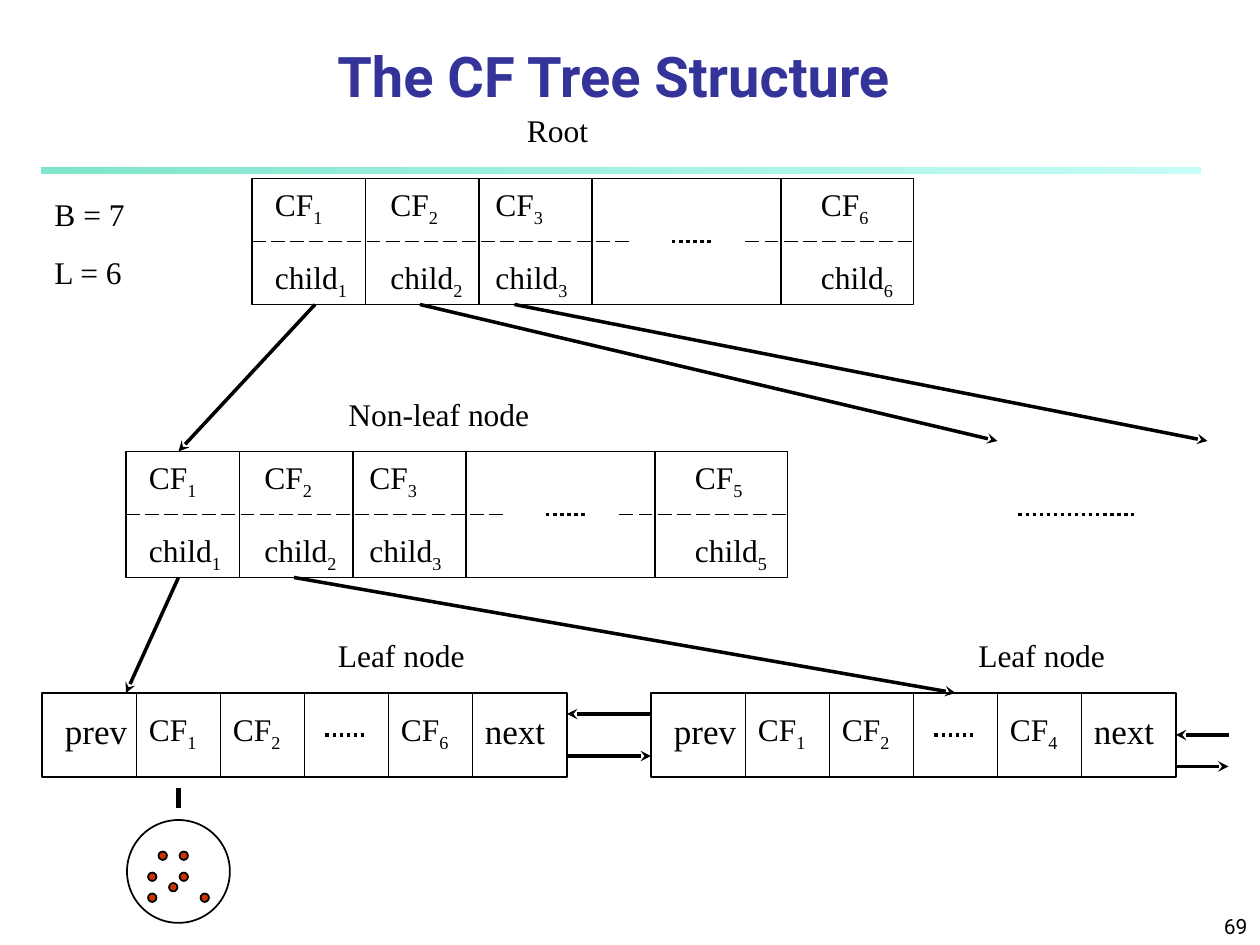
from lxml import etree
from pptx import Presentation
from pptx.dml.color import RGBColor
from pptx.enum.dml import MSO_LINE
from pptx.enum.shapes import MSO_CONNECTOR, MSO_SHAPE
from pptx.enum.text import MSO_ANCHOR, PP_ALIGN
from pptx.oxml.ns import qn
from pptx.util import Inches, Pt

COLORS = {"ink": "000000", "title": "333399", "point": "CC3300",
          "bar_left": "7FE6CB", "bar_right": "C5FCF7"}
SERIF, SANS = "Times New Roman", "Roboto"
COLUMNS, ROWS = 120, 90  # one grid cell is a twelfth of an inch


def rgb(name):
    return RGBColor.from_string(COLORS[name])


def grid(*cells):
    return [Inches(cell / 12) for cell in cells]


def style_run(run, size, font=SERIF, color="ink", bold=False):
    run.font.size = Pt(size)
    run.font.name = font
    run.font.bold = bold
    run.font.color.rgb = rgb(color)


def add_outline(slide, kind, box, fill=None):
    shape = slide.shapes.add_shape(kind, *grid(*box))
    shape.shadow.inherit = False
    if fill:
        shape.fill.solid()
        shape.fill.fore_color.rgb = rgb(fill)
    else:
        shape.fill.background()
    shape.line.color.rgb = rgb("ink")
    shape.line.width = Pt(1)
    return shape


def add_line(slide, start, end, width=1, dash=None, arrow=False):
    line = slide.shapes.add_connector(MSO_CONNECTOR.STRAIGHT, *grid(*start, *end))
    line.line.color.rgb = rgb("ink")
    line.line.width = Pt(width)
    if dash:
        line.line.dash_style = dash
    if arrow:
        etree.SubElement(line.line._get_or_add_ln(), qn("a:tailEnd"), type="stealth")
    etree.SubElement(line._element.spPr, qn("a:effectLst"))
    return line


def add_dots(slide, left, top, width):
    add_line(slide, (left, top), (left + width, top), 2, MSO_LINE.ROUND_DOT)


def add_text(slide, box, text, size=18, subscript=None, font=SERIF):
    text_box = slide.shapes.add_textbox(*grid(*box))
    frame = text_box.text_frame
    frame.word_wrap = True
    frame.text = text
    if subscript:
        run = frame.paragraphs[0].add_run()
        run.text = str(subscript)
        run.font._element.set("baseline", "-25000")
    for paragraph in frame.paragraphs:
        for run in paragraph.runs:
            style_run(run, size, font)
    for paragraph in frame.paragraphs[1:]:
        paragraph.space_before = Pt(11.2)
    return frame


# Title, gradient bar and page number
def add_frame(slide):
    title = slide.shapes.title
    title.left, title.top, title.width, title.height = grid(8.9, 3, 99.1, 8)
    title.text_frame.text = "The CF Tree Structure"
    title.text_frame.vertical_anchor = MSO_ANCHOR.BOTTOM
    title.text_frame.paragraphs[0].alignment = PP_ALIGN.CENTER
    style_run(title.text_frame.paragraphs[0].runs[0], 32, SANS, "title", True)

    bar = slide.shapes.add_shape(MSO_SHAPE.RECTANGLE, *grid(3.9, 15.95, 110.5, 0.65))
    bar.shadow.inherit = False
    bar.line.fill.background()
    bar.fill.gradient()
    bar.fill.gradient_angle = 0
    for stop, name in zip(bar.fill.gradient_stops, ("bar_left", "bar_right")):
        stop.color.rgb = rgb(name)

    number = add_text(slide, (COLUMNS - 25, ROWS - 5, 25, 5), "69", 12, font=SANS)
    number.vertical_anchor = MSO_ANCHOR.BOTTOM
    number.paragraphs[0].alignment = PP_ALIGN.RIGHT


# Inner node: entries above, child pointers below
def add_inner_node(slide, left, top, last, width=63, height=12):
    middle = top + height / 2
    add_outline(slide, MSO_SHAPE.RECTANGLE, (left, top, width, height))
    for offset in (10.8, 21.6, 32.4, 50.4):
        add_line(slide, (left + offset, top), (left + offset, top + height))
    for start, end in ((0, 36), (47, width)):
        add_line(slide, (left + start, middle), (left + end, middle),
                 dash=MSO_LINE.LONG_DASH)
    add_dots(slide, left + 40, middle, 4)
    for offset, index in zip((1, 12, 22, 53), (1, 2, 3, last)):
        add_text(slide, (left + offset, top, 9, 5.3), "CF", subscript=index)
        add_text(slide, (left + offset, top + 7, 12, 5.3), "child", subscript=index)


# Leaf node: entries between links to its neighbours
def add_leaf_node(slide, left, top, last, width=50, height=8):
    node = add_outline(slide, MSO_SHAPE.RECTANGLE, (left, top, width, height))
    dividers = [left + 9 + 8 * step for step in range(5)]
    for divider in dividers:
        add_line(slide, (divider, top), (divider, top + height))
    for step, index in ((0, 1), (1, 2), (3, last)):
        add_text(slide, (dividers[step], top + 1, 9, 5.3), "CF", subscript=index)
    add_dots(slide, dividers[2] + 2, top + height / 2, 4)
    for text_left, text in ((left + 1, "prev"), (dividers[4], "next")):
        add_text(slide, (text_left, top + 1, 9, 5.2), text, 20)
    return node


# Cluster of points below a leaf entry
def add_cluster(slide, left, top, size=10):
    for column, row in ((3, 3), (5, 5), (5, 3), (2, 7), (2, 5), (4, 6), (7, 7)):
        add_outline(slide, MSO_SHAPE.OVAL,
                    (left + column + 0.1, top + row + 0.1, 0.8, 0.8), "point")
    add_outline(slide, MSO_SHAPE.OVAL, (left + 0.1, top + 0.1, size - 0.2, size - 0.2))
    center = left + size / 2
    add_line(slide, (center, top - 3), (center, top - 1), 3)


# Pointers between levels and between neighbouring leaves
def add_pointers(slide, last_leaf):
    for start, end in (((30, 29), (17, 43)), ((40, 29), (95, 42)),
                       ((49, 29), (115, 42)), ((17, 55), (12, 66)),
                       ((28, 55), (91, 66)), ((62, 68), (54, 68)),
                       ((54, 72), (62, 72)), ((112, 73), (117, 73))):
        add_line(slide, start, end, 2, arrow=True)
    incoming = add_line(slide, (117, 70), (112, 70), 2, arrow=True)
    incoming.end_connect(last_leaf, 3)


def add_labels(slide):
    for left, top, width, text in ((4, 18, 14, "B = 7\nL = 6"),
                                   (49, 10, 13, "Root"),
                                   (32, 37, 26, "Non-leaf node"),
                                   (31, 60, 19, "Leaf node"),
                                   (92, 60, 19, "Leaf node")):
        add_text(slide, (left, top, width, 4.8), text)


def main():
    presentation = Presentation()
    presentation.slide_width, presentation.slide_height = grid(COLUMNS, ROWS)
    slide = presentation.slides.add_slide(presentation.slide_layouts[5])
    add_frame(slide)
    add_inner_node(slide, 24, 17, last=6)
    add_inner_node(slide, 12, 43, last=5)
    add_dots(slide, 97, 49, 11)
    add_leaf_node(slide, 4, 66, last=6)
    last_leaf = add_leaf_node(slide, 62, 66, last=4)
    add_pointers(slide, last_leaf)
    add_labels(slide)
    add_cluster(slide, 12, 78)
    presentation.save("out.pptx")


if __name__ == "__main__":
    main()
